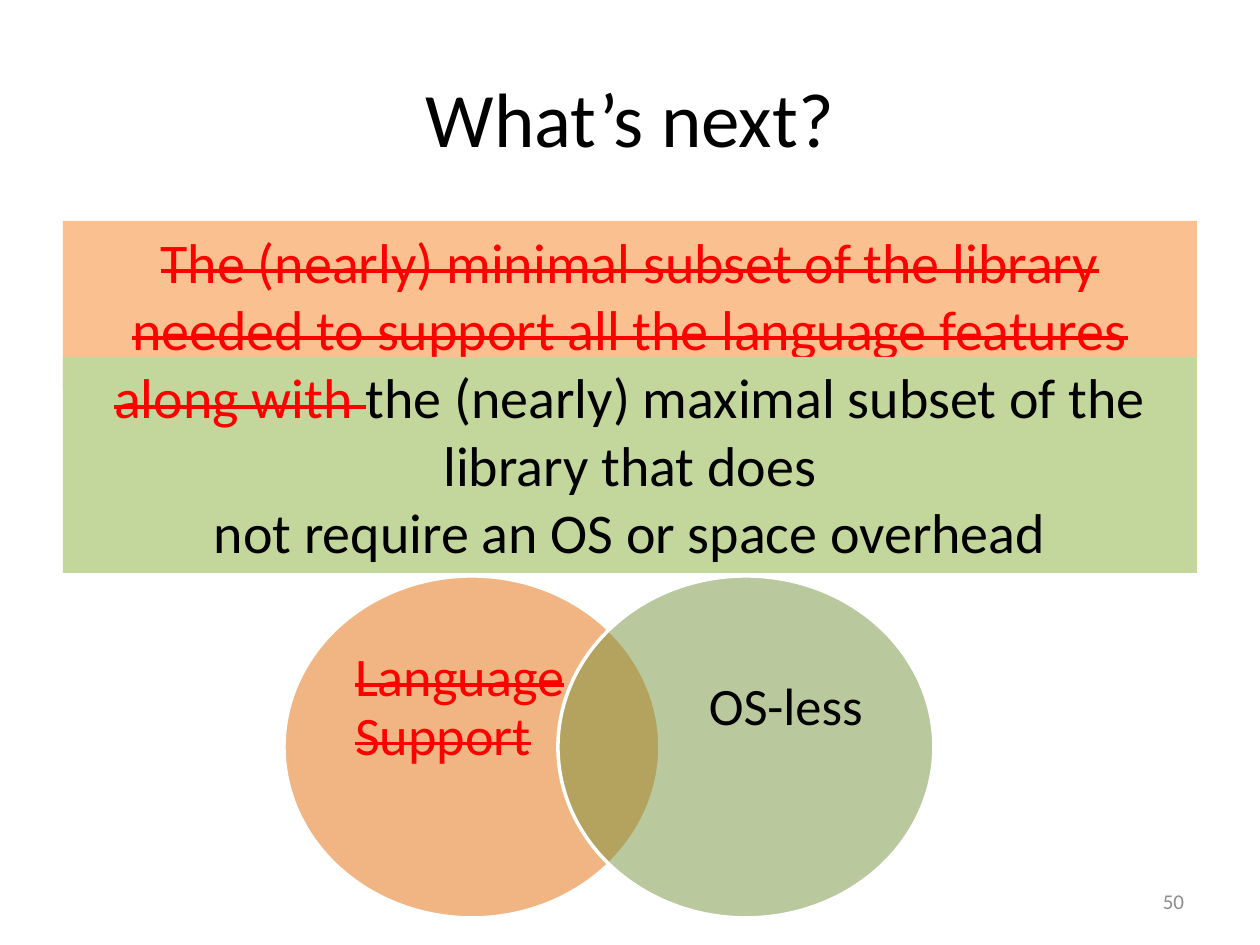
from pptx import Presentation
from pptx.dml.color import RGBColor
from pptx.enum.shapes import MSO_SHAPE as Shape
from pptx.enum.text import MSO_ANCHOR as Anchor, PP_ALIGN as Align
from pptx.oxml.xmlchemy import OxmlElement
from pptx.util import Emu, Pt

SCALE = 914400 // 126
BLACK = RGBColor(0x00, 0x00, 0x00)
WHITE = RGBColor(0xFF, 0xFF, 0xFF)
RED = RGBColor(0xFF, 0x00, 0x00)
GRAY = RGBColor(0x8C, 0x8C, 0x8C)
PEACH = RGBColor(0xFA, 0xC0, 0x90)
LIGHT_GREEN = RGBColor(0xC3, 0xD6, 0x9B)
ORANGE = RGBColor(0xE4, 0x6C, 0x0A)
GREEN = RGBColor(0x77, 0x93, 0x3C)


def px(length):
    return Emu(length * SCALE)


def write(frame, paragraphs, size, align, anchor=Anchor.TOP, spacing=None,
          insets=(13, 6, 13, 6)):
    frame.word_wrap = True
    frame.vertical_anchor = anchor
    (frame.margin_left, frame.margin_top,
     frame.margin_right, frame.margin_bottom) = map(px, insets)
    for index, runs in enumerate(paragraphs):
        paragraph = frame.add_paragraph() if index else frame.paragraphs[0]
        paragraph.alignment = align
        if spacing:
            paragraph.line_spacing = spacing
        for text, color, struck in runs:
            run = paragraph.add_run()
            run.text = text
            run.font.name = "Calibri"
            run.font.size = Pt(size)
            run.font.color.rgb = color
            if struck:
                run._r.get_or_add_rPr().set("strike", "sngStrike")


def add_filled(slide, preset, box, color):
    shape = slide.shapes.add_shape(preset, *map(px, box))
    shape.shadow.inherit = False
    shape.fill.solid()
    shape.fill.fore_color.rgb = color
    return shape


def add_label(slide, box, text, size, color, align):
    label = slide.shapes.add_textbox(*map(px, box))
    write(label.text_frame, [[(text, color, False)]], size, align, Anchor.MIDDLE)


def add_band(slide, box, color, paragraphs):
    band = add_filled(slide, Shape.RECTANGLE, box, color)
    band.line.fill.background()
    write(band.text_frame, paragraphs, 32, Align.CENTER)


def add_venn(slide, box, circle_width, sets):
    left, top, width, height = box
    step = (width - circle_width) // (len(sets) - 1)
    for index, (color, run, size, align) in enumerate(sets):
        circle = add_filled(slide, Shape.OVAL,
                            (left + index * step, top, circle_width, height), color)
        alpha = OxmlElement("a:alpha")
        alpha.set("val", "50000")
        circle.fill._xPr.find(".//{*}srgbClr").append(alpha)
        circle.line.color.rgb = WHITE
        circle.line.width = Pt(2)
        write(circle.text_frame, [[run]], size, align, Anchor.MIDDLE, 0.9,
              (16, 16, 16, 93))


def build_slide(prs):
    slide = prs.slides.add_slide(prs.slide_layouts[6])
    add_band(slide, (63, 221, 1134, 168), PEACH, [
        [("The (nearly) minimal subset of the library needed to support "
          "all the language features", RED, True)]])
    add_band(slide, (63, 357, 1134, 216), LIGHT_GREEN, [
        [("along with ", RED, True),
         ("the (nearly) maximal subset of the library that does", BLACK, False)],
        [("not require an OS or space overhead", BLACK, False)]])
    add_label(slide, (63, 38, 1134, 158), "What’s next?", 44, BLACK, Align.CENTER)
    add_label(slide, (903, 876, 294, 50), "50", 12, GRAY, Align.RIGHT)
    add_venn(slide, (284, 576, 650, 342), 376, [
        (ORANGE, ("Language Support", RED, True), 31, Align.LEFT),
        (GREEN, ("OS-less", BLACK, False), 30, Align.RIGHT)])


prs = Presentation()
prs.slide_width, prs.slide_height = px(1260), px(945)
build_slide(prs)
prs.save("out.pptx")
